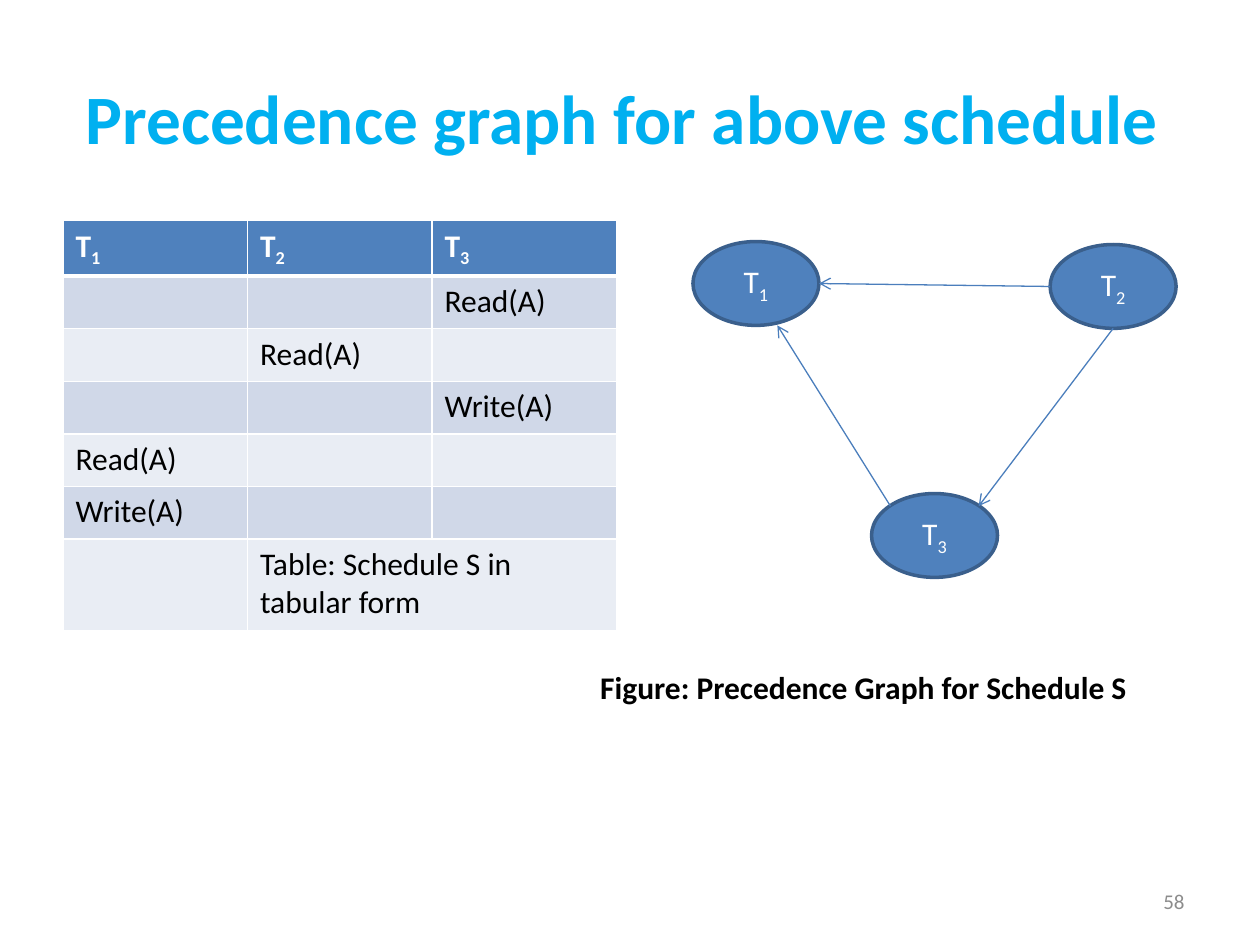
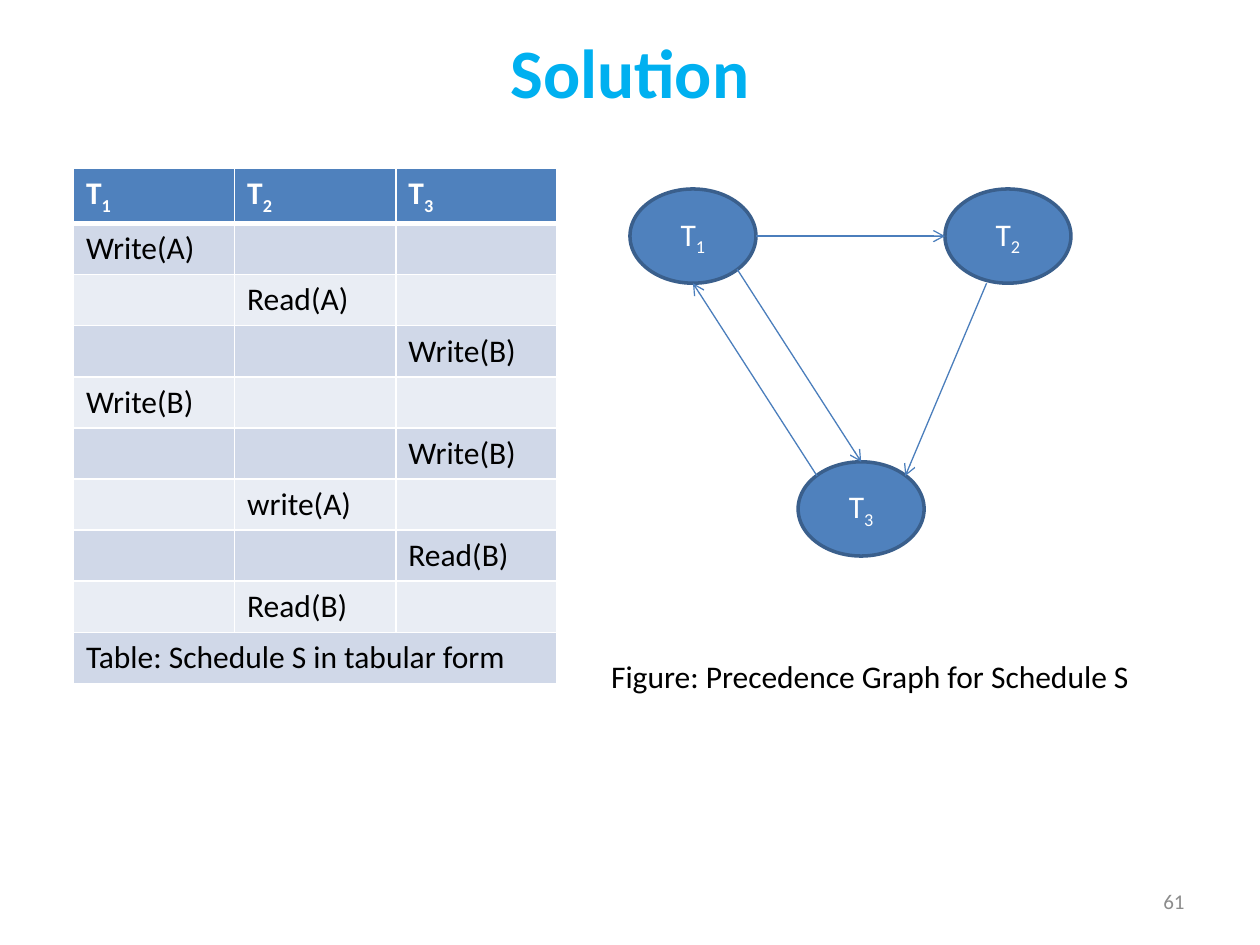
from dataclasses import dataclass

from lxml.etree import SubElement
from pptx import Presentation
from pptx.dml.color import RGBColor
from pptx.enum.shapes import MSO_CONNECTOR, MSO_SHAPE
from pptx.enum.text import MSO_ANCHOR, MSO_AUTO_SIZE, PP_ALIGN
from pptx.oxml.ns import qn
from pptx.util import Cm, Pt


@dataclass(frozen=True)
class Theme:
    font: str = "Calibri"
    title: str = "00B0F0"
    text: str = "000000"
    white: str = "FFFFFF"
    number: str = "8C8C8C"
    accent: str = "4F81BD"
    outline: str = "3A5F8C"
    arrow: str = "4B7EBC"
    bands: tuple = ("D0D8E8", "E9EDF4")
    title_size: float = 39.6
    body_size: float = 18
    number_size: float = 12


THEME = Theme()
NODE_WIDTH = 2.54

# Points on a node where arrows meet it, as fractions of its width and height
ANCHORS = {
    "left": (0, 0.5),
    "right": (1, 0.5),
    "top": (0.5, 0),
    "bottom": (0.5, 1),
    "top left": (0.15, 0.15),
    "top right": (0.85, 0.15),
    "bottom right": (0.85, 0.85),
    "below left": (0.33, 1),
    "below right": (0.67, 1),
}


def color(value):
    return RGBColor.from_string(value)


def add_text(paragraph, text, ink, size=THEME.body_size, bold=False):
    """Add runs to a paragraph; what follows an underscore is a subscript."""
    base, _, subscript = text.partition("_")
    for part, offset in ((base, None), (subscript, "-25000")):
        if not part:
            continue
        run = paragraph.add_run()
        run.text = part
        run.font.name = THEME.font
        run.font.size = Pt(size)
        run.font.bold = bold
        run.font.color.rgb = color(ink)
        if offset:
            run._r.get_or_add_rPr().set("baseline", offset)


def set_title(slide, text, top, height):
    title = slide.shapes.title
    title.left, title.top = Cm(1.27), Cm(top)
    title.width, title.height = Cm(22.86), Cm(height)
    frame = title.text_frame
    frame.auto_size = MSO_AUTO_SIZE.NONE
    frame.vertical_anchor = MSO_ANCHOR.MIDDLE
    paragraph = frame.paragraphs[0]
    paragraph.alignment = PP_ALIGN.CENTER
    add_text(paragraph, text, THEME.title, THEME.title_size, bold=True)


def add_text_box(slide, left, top, width):
    box = slide.shapes.add_textbox(Cm(left), Cm(top), Cm(width), Cm(1.02))
    box.text_frame.word_wrap = True
    return box.text_frame


def add_slide_number(slide, number):
    frame = add_text_box(slide, 18.2, 17.65, 5.93)
    frame.vertical_anchor = MSO_ANCHOR.MIDDLE
    paragraph = frame.paragraphs[0]
    paragraph.alignment = PP_ALIGN.RIGHT
    add_text(paragraph, number, THEME.number, THEME.number_size)


def add_figure_caption(slide, left, top, bold):
    frame = add_text_box(slide, left, top, 11.64)
    add_text(frame.paragraphs[0], "Figure: Precedence Graph for Schedule S",
             THEME.text, bold=bold)


def format_cell(cell, fill, top_width, bottom_width):
    # Borders must come before the fill inside the cell properties
    properties = cell._tc.get_or_add_tcPr()
    widths = {"L": 1, "R": 1, "T": top_width, "B": bottom_width}
    for side, width in widths.items():
        line = SubElement(properties, qn(f"a:ln{side}"), w=str(Pt(width)))
        solid = SubElement(line, qn("a:solidFill"))
        SubElement(solid, qn("a:srgbClr"), val=THEME.white)
    cell.fill.solid()
    cell.fill.fore_color.rgb = color(fill)


def add_schedule(slide, left, top, column_width, row_heights, operations, caption):
    """Draw a schedule: operations are (transaction, text), caption is the last row."""
    rows = [["T_1", "T_2", "T_3"]]
    for transaction, operation in operations:
        rows.append([operation if column == transaction else "" for column in (1, 2, 3)])
    rows.append(caption)

    table = slide.shapes.add_table(
        len(rows), 3, Cm(left), Cm(top), Cm(3 * column_width), Cm(sum(row_heights))).table
    table.first_row = table.horz_banding = False
    for column in table.columns:
        column.width = Cm(column_width)
    for index, (row, height) in enumerate(zip(rows, row_heights)):
        header = index == 0
        table.rows[index].height = Cm(height)
        for position, text in enumerate(row):
            cell = table.cell(index, position)
            format_cell(cell, THEME.accent if header else THEME.bands[(index - 1) % 2],
                        3 if index == 1 else 1, 3 if header else 1)
            if text:
                add_text(cell.text_frame.paragraphs[0], text,
                         THEME.white if header else THEME.text, bold=header)

    # The caption spans the columns marked None after it
    last = len(rows) - 1
    start = next(i for i, text in enumerate(caption) if text)
    table.cell(last, start).merge(table.cell(last, 2))


def add_node(slide, text, left, top, height):
    node = slide.shapes.add_shape(
        MSO_SHAPE.OVAL, Cm(left), Cm(top), Cm(NODE_WIDTH), Cm(height))
    node.shadow.inherit = False
    node.fill.solid()
    node.fill.fore_color.rgb = color(THEME.accent)
    node.line.color.rgb = color(THEME.outline)
    node.line.width = Pt(2)
    node.text_frame.vertical_anchor = MSO_ANCHOR.MIDDLE
    paragraph = node.text_frame.paragraphs[0]
    paragraph.alignment = PP_ALIGN.CENTER
    add_text(paragraph, text, THEME.white)
    return node


def anchor_point(node, anchor):
    across, down = ANCHORS[anchor]
    return int(node.left + across * node.width), int(node.top + down * node.height)


def add_arrow(slide, start, end):
    arrow = slide.shapes.add_connector(MSO_CONNECTOR.STRAIGHT, *start, *end)
    arrow.line.color.rgb = color(THEME.arrow)
    arrow.line.width = Pt(0.75)
    SubElement(arrow.line._get_or_add_ln(), qn("a:tailEnd"), type="arrow")
    SubElement(arrow._element.spPr, qn("a:effectLst"))


def add_precedence_graph(slide, node_height, places, edges):
    nodes = {name: add_node(slide, name, left, top, node_height)
             for name, (left, top) in places.items()}
    for source, source_anchor, target, target_anchor in edges:
        add_arrow(slide, anchor_point(nodes[source], source_anchor),
                  anchor_point(nodes[target], target_anchor))


def add_graph_slide(presentation):
    slide = presentation.slides.add_slide(presentation.slide_layouts[5])
    set_title(slide, "Precedence graph for above schedule ", 0.76, 3.18)
    add_schedule(
        slide, 1.27, 4.45, 3.72, [1.06] * 6 + [1.85],
        [(3, "Read(A)"), (2, "Read(A)"), (3, "Write(A)"), (1, "Read(A)"), (1, "Write(A)")],
        ["", "Table: Schedule S in tabular form", None])
    add_slide_number(slide, "58")
    add_precedence_graph(
        slide, 1.69,
        {"T_1": (13.97, 4.87), "T_3": (17.57, 9.95), "T_2": (21.17, 4.93)},
        [("T_2", "left", "T_1", "right"),
         ("T_2", "bottom", "T_3", "top right"),
         ("T_3", "top left", "T_1", "below right")])
    add_figure_caption(slide, 11.85, 13.34, bold=True)


def add_solution_slide(presentation):
    slide = presentation.slides.add_slide(presentation.slide_layouts[5])
    set_title(slide, "Solution", 0.76, 1.35)
    add_schedule(
        slide, 1.48, 3.39, 3.25, [1] * 10,
        [(1, "Write(A)"), (2, "Read(A)"), (3, "Write(B)"), (1, "Write(B)"),
         (3, "Write(B)"), (2, "write(A)"), (3, "Read(B)"), (2, "Read(B)")],
        ["Table: Schedule S in tabular form", None, None])
    add_slide_number(slide, "61")
    add_precedence_graph(
        slide, 1.9,
        {"T_1": (12.7, 3.81), "T_2": (19.05, 3.81), "T_3": (16.09, 9.31)},
        [("T_1", "right", "T_2", "left"),
         ("T_3", "top left", "T_1", "bottom"),
         ("T_2", "below left", "T_3", "top right"),
         ("T_1", "bottom right", "T_3", "top")])
    add_figure_caption(slide, 12.07, 13.12, bold=False)


def main():
    presentation = Presentation()
    presentation.slide_width, presentation.slide_height = Cm(25.4), Cm(19.05)
    add_graph_slide(presentation)
    add_solution_slide(presentation)
    presentation.save("out.pptx")


if __name__ == "__main__":
    main()
